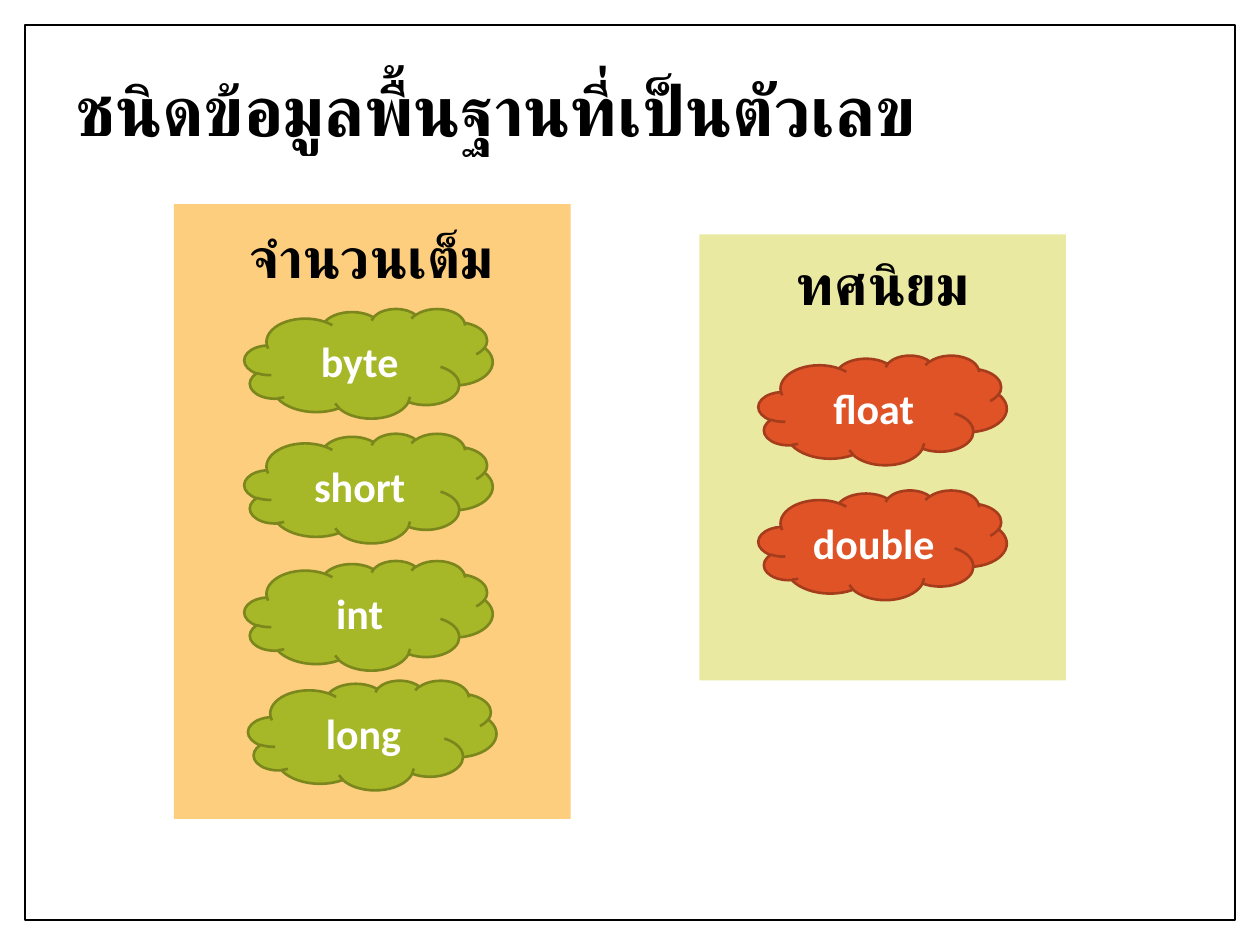
from lxml.etree import SubElement
from pptx import Presentation
from pptx.dml.color import RGBColor
from pptx.enum.shapes import MSO_SHAPE
from pptx.enum.text import MSO_ANCHOR, PP_ALIGN
from pptx.oxml.ns import qn
from pptx.util import Inches, Pt

INTEGER_CLOUDS = [
    ("byte", 1.94, 2.45),
    ("short", 1.94, 3.44),
    ("int", 1.94, 4.45),
    ("long", 1.97, 5.4),
]
DECIMAL_CLOUDS = [("float", 6.02, 2.82), ("double", 6.02, 3.89)]


def color(code):
    """Return the colour of a hex string."""
    return RGBColor.from_string(code)


def add_figure(page, preset, place, fill, line=None, width=1, opacity=None):
    """Add a filled preset shape, outlined or partly transparent on request."""
    figure = page.shapes.add_shape(preset, *map(Inches, place))
    figure.shadow.inherit = False
    figure.fill.solid()
    figure.fill.fore_color.rgb = color(fill)
    if line:
        figure.line.color.rgb = color(line)
        figure.line.width = Pt(width)
    else:
        figure.line.fill.background()
    if opacity is not None:
        tone = figure._element.spPr.find(qn("a:solidFill"))[0]
        SubElement(tone, qn("a:alpha"), val=str(opacity * 1000))
    return figure


def write(shape, text, size, font, code, align, anchor):
    """Write one bold line of text, with the font set for Thai as well."""
    frame = shape.text_frame
    frame.word_wrap = True
    frame.vertical_anchor = anchor
    paragraph = frame.paragraphs[0]
    paragraph.alignment = align
    span = paragraph.add_run()
    span.text = text
    span.font.size = Pt(size)
    span.font.bold = True
    span.font.name = font
    span.font.color.rgb = color(code)
    SubElement(span.font._element, qn("a:cs"), typeface=font)
    return paragraph


def add_title(page, text):
    """Add the slide title."""
    box = page.shapes.add_textbox(*map(Inches, (0.5, 0.36, 9, 1.08)))
    paragraph = write(box, text, 40, "Roboto", "000000", PP_ALIGN.LEFT, MSO_ANCHOR.MIDDLE)
    paragraph.line_spacing = 0.9


def add_heading(page, text, left, top):
    """Add the heading of a panel."""
    box = page.shapes.add_textbox(*map(Inches, (left, top, 2.44, 0.64)))
    write(box, text, 32, "Calibri", "000000", PP_ALIGN.CENTER, MSO_ANCHOR.TOP)


def add_clouds(page, clouds, fill, line):
    """Add one labelled cloud for each data type."""
    for name, left, top in clouds:
        cloud = add_figure(page, MSO_SHAPE.CLOUD, (left, top, 1.97, 0.87), fill, line, 1.5)
        write(cloud, name, 24, "Calibri", "FFFFFF", PP_ALIGN.CENTER, MSO_ANCHOR.MIDDLE)


def main():
    """Build the slide of numeric data types."""
    deck = Presentation()
    deck.slide_width, deck.slide_height = Inches(10), Inches(7.5)
    page = deck.slides.add_slide(deck.slide_layouts[6])
    add_figure(page, MSO_SHAPE.RECTANGLE, (0.2, 0.2, 9.6, 7.1), "FFFFFF", "000000")
    add_figure(page, MSO_SHAPE.RECTANGLE, (5.55, 1.86, 2.91, 3.54), "D7D447", opacity=50)
    add_figure(page, MSO_SHAPE.RECTANGLE, (1.38, 1.62, 3.15, 4.88), "FE9E00", opacity=50)
    add_title(page, "ชนิดข้อมูลพื้นฐานที่เป็นตัวเลข")
    add_clouds(page, INTEGER_CLOUDS, "A6B727", "7B871D")
    add_clouds(page, DECIMAL_CLOUDS, "DF5327", "A53D1D")
    add_heading(page, "จำนวนเต็ม", 1.73, 1.72)
    add_heading(page, "ทศนิยม", 5.79, 1.93)
    deck.save("out.pptx")


if __name__ == "__main__":
    main()
